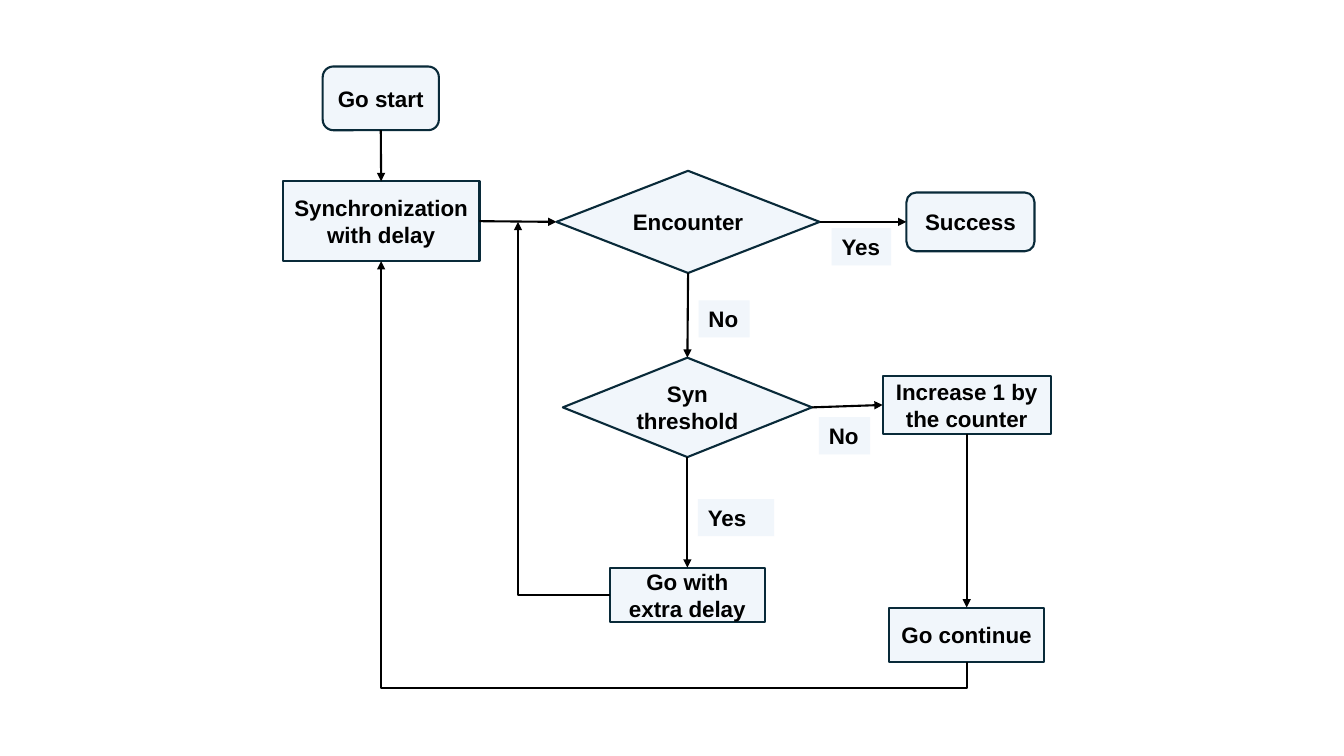
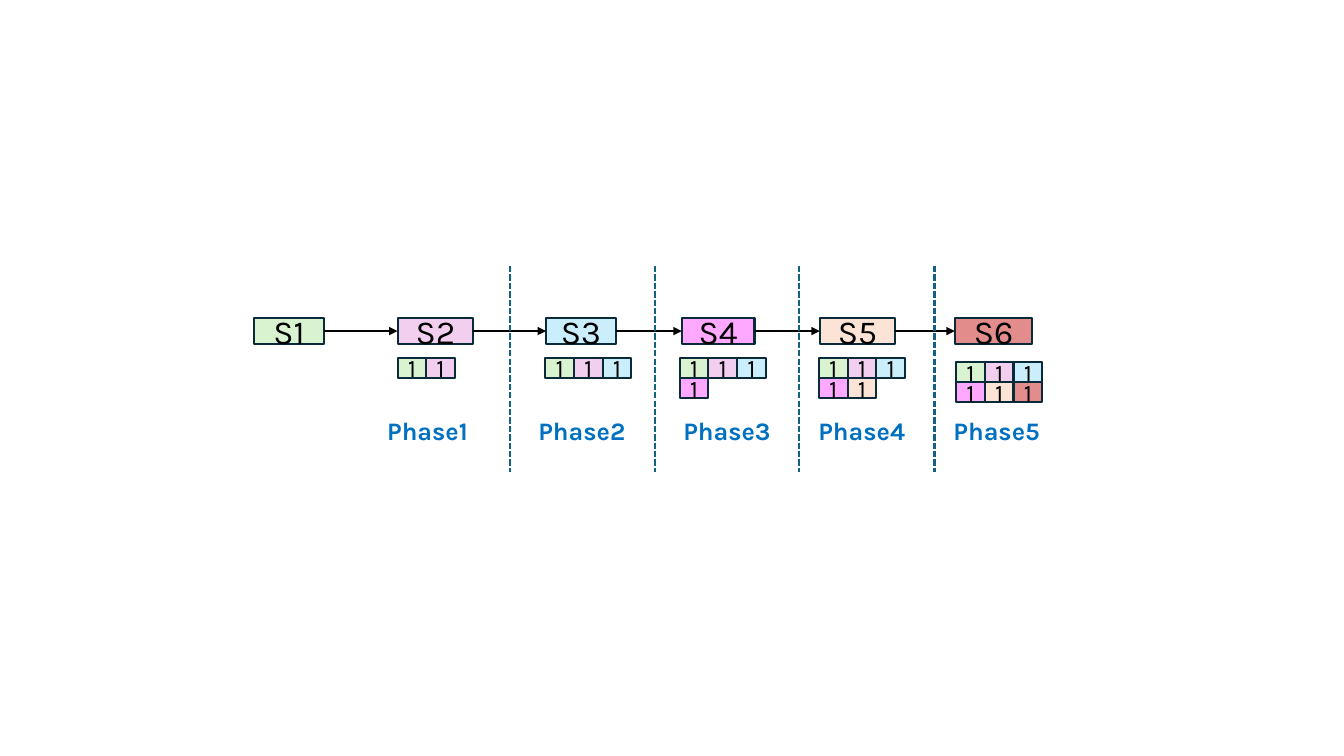
from pptx import Presentation
from pptx.dml.color import RGBColor
from pptx.enum import dml, shapes, text
from pptx.oxml.ns import qn
from pptx.util import Pt
from lxml import etree

# Shared look
COLORS = {
    "panel": "DCEAF7", "outline": "092A39", "ink": "000000",
    "phase": "0070C0", "divider": "156082",
    "green": "D9F2D0", "lilac": "F2CFEE", "sky": "CAEEFB",
    "magenta": "FF40FF", "peach": "FBE3D6", "red": "C00000",
}
OPACITY = {"panel": 40, "magenta": 45, "red": 45}
FLOW_FONT = {"name": "Arial", "size": Pt(16), "bold": True}
STATE_FONT = {"name": "Karla", "size": Pt(24)}
CELL_FONT = {"name": "Karla", "size": Pt(18)}
PHASE_FONT = {"name": "Karla", "size": Pt(18), "bold": True}
TOP, LEFT, BOTTOM, RIGHT = range(4)

# Flowchart: name -> (kind, text, left, top, width, height)
ROUND = shapes.MSO_SHAPE.FLOWCHART_ALTERNATE_PROCESS
DECISION = shapes.MSO_SHAPE.FLOWCHART_DECISION
BOX = shapes.MSO_SHAPE.RECTANGLE
STEPS = {
    "start": (ROUND, "Go start", 230.5, 47.5, 83, 45.5),
    "sync": (BOX, "Synchronization with delay", 202, 129.5, 140.5, 57),
    "encounter": (DECISION, "Encounter", 397.5, 122, 188, 73),
    "threshold": (DECISION, "Syn threshold", 402, 255.5, 178, 71),
    "success": (ROUND, "Success", 647.5, 137.5, 91.5, 42),
    "increase": (BOX, "Increase 1 by the counter", 630.5, 268.5, 120, 41.5),
    "extra": (BOX, "Go with extra delay", 435.5, 405.5, 111, 39),
    "continue": (BOX, "Go continue", 635, 434, 111, 39),
}
LABELS = [
    ("Yes", 594, 163, 42.5), ("No", 499, 214.5, 36.5),
    ("Yes", 498.5, 356.5, 54.5), ("No", 585, 298, 36.5),
]
LABEL_HEIGHT = 26.5
FLOWS = [
    ("start", BOTTOM, "sync", TOP),
    ("sync", RIGHT, "encounter", LEFT),
    ("encounter", RIGHT, "success", LEFT),
    ("encounter", BOTTOM, "threshold", TOP),
    ("threshold", RIGHT, "increase", LEFT),
    ("threshold", BOTTOM, "extra", TOP),
    ("increase", BOTTOM, "continue", TOP),
]
RETRY_POINT = (370, 158.5)
LOOP_DROP = 18.5

# Phases: state, colour, left, width
STATES = [
    ("S1", "green", 181.5, 50), ("S2", "lilac", 284, 54),
    ("S3", "sky", 390, 50), ("S4", "magenta", 487, 52),
    ("S5", "peach", 585.5, 54), ("S6", "red", 682, 55.5),
]
STATE_TOP, STATE_HEIGHT = 227, 19
# Phase name, left of its name, left and top of its cells
PHASES = [
    ("Phase1", 269.5, 284, 255.5), ("Phase2", 377.5, 389.5, 255.5),
    ("Phase3", 481, 485.5, 255.5), ("Phase4", 577.5, 585, 255.5),
    ("Phase5", 674, 683, 258.5),
]
CELL_WIDTH, CELL_HEIGHT, CELLS_PER_ROW = 20.5, 14.5, 3
PHASE_TOP, PHASE_WIDTH, PHASE_HEIGHT = 293, 89, 29
DIVIDERS = [364.5, 468, 571, 667.5]
DIVIDER_TOP, DIVIDER_BOTTOM = 190, 337


def rgb(name):
    return RGBColor.from_string(COLORS[name])


def write(shape, words, font, color="ink", align=text.PP_ALIGN.CENTER,
          anchor=text.MSO_ANCHOR.MIDDLE):
    frame = shape.text_frame
    frame.word_wrap = True
    frame.vertical_anchor = anchor
    paragraph = frame.paragraphs[0]
    paragraph.alignment = align
    run = paragraph.add_run()
    run.text = words
    for attribute, value in font.items():
        setattr(run.font, attribute, value)
    run.font.color.rgb = rgb(color)


def add_box(slide, kind, area, fill, outlined=True):
    shape = slide.shapes.add_shape(kind, *map(Pt, area))
    shape.shadow.inherit = False
    shape.fill.solid()
    shape.fill.fore_color.rgb = rgb(fill)
    if fill in OPACITY:
        color = shape.fill._xPr.find(qn("a:solidFill"))[0]
        etree.SubElement(color, qn("a:alpha"), val=str(OPACITY[fill] * 1000))
    if outlined:
        shape.line.color.rgb = rgb("outline")
        shape.line.width = Pt(1.5)
    else:
        shape.line.fill.background()
    return shape


def add_line(slide, points=(0, 0, 0, 0), color="ink", width=1.5, arrow=True,
             kind=shapes.MSO_CONNECTOR.STRAIGHT):
    line = slide.shapes.add_connector(kind, *map(Pt, points))
    line.line.color.rgb = rgb(color)
    line.line.width = Pt(width)
    if arrow:
        etree.SubElement(line.line._get_or_add_ln(), qn("a:tailEnd"), type="triangle")
    etree.SubElement(line._element.spPr, qn("a:effectLst"))
    return line


def join(slide, first, first_side, second, second_side, width=1.5):
    line = add_line(slide, width=width)
    line.begin_connect(first, first_side)
    line.end_connect(second, second_side)


def shape_elbow(line, preset, rotation, flip, area, adjust=None):
    """Give an elbow its preset, turn and unrotated frame."""
    for attribute, value in zip(("left", "top", "width", "height"), area):
        setattr(line, attribute, int(value))
    frame = line._element.spPr.find(qn("a:xfrm"))
    for attribute, value in (("rot", rotation * 60000), ("flipH", flip), ("flipV", 0)):
        frame.set(attribute, str(value))
    geometry = line._element.spPr.find(qn("a:prstGeom"))
    geometry.set("prst", preset)
    if adjust is not None:
        guides = geometry.find(qn("a:avLst"))
        if guides is None:
            guides = etree.SubElement(geometry, qn("a:avLst"))
        etree.SubElement(guides, qn("a:gd"), name="adj1", fmla=f"val {adjust}")


def build_flowchart(slide):
    boxes = {}
    for name, (kind, words, *area) in STEPS.items():
        boxes[name] = add_box(slide, kind, area, "panel")
        write(boxes[name], words, FLOW_FONT)
    for first, first_side, second, second_side in FLOWS:
        join(slide, boxes[first], first_side, boxes[second], second_side)

    # Return from "Go continue" to the synchronization, below everything
    first, second = boxes["continue"], boxes["sync"]
    loop = add_line(slide, kind=shapes.MSO_CONNECTOR.ELBOW)
    loop.begin_connect(first, BOTTOM)
    loop.end_connect(second, BOTTOM)
    right, bottom = first.left + first.width / 2, first.top + first.height
    left, top = second.left + second.width / 2, second.top + second.height
    across, down = right - left, bottom - top
    area = ((left + right - down) / 2, (top + bottom - across) / 2, down, across)
    shape_elbow(loop, "bentConnector3", 90, 1, area,
                round(-Pt(LOOP_DROP) / down * 100000))

    # Return from the extra delay to the arrow before "Encounter"
    extra = boxes["extra"]
    retry = add_line(slide, kind=shapes.MSO_CONNECTOR.ELBOW)
    retry.begin_connect(extra, LEFT)
    left, top = map(Pt, RETRY_POINT)
    area = (left, top, extra.left - left, extra.top + extra.height / 2 - top)
    shape_elbow(retry, "bentConnector2", 180, 0, area)

    for words, left, top, width in LABELS:
        label = add_box(slide, BOX, (left, top, width, LABEL_HEIGHT), "panel", False)
        label.text_frame.margin_right = 0
        write(label, words, FLOW_FONT, align=text.PP_ALIGN.LEFT,
              anchor=text.MSO_ANCHOR.TOP)


def build_phases(slide):
    # Chain of states
    chain = []
    for words, fill, left, width in STATES:
        state = add_box(slide, BOX, (left, STATE_TOP, width, STATE_HEIGHT), fill)
        write(state, words, STATE_FONT)
        chain.append(state)
    for first, second in zip(chain, chain[1:]):
        join(slide, first, RIGHT, second, LEFT, width=1)

    # Each phase holds one cell for every state reached so far
    for reached, (words, name_left, left, top) in enumerate(PHASES, start=2):
        for index, (_, fill, *_) in enumerate(STATES[:reached]):
            row, column = divmod(index, CELLS_PER_ROW)
            area = (left + column * CELL_WIDTH, top + row * CELL_HEIGHT,
                    CELL_WIDTH, CELL_HEIGHT)
            write(add_box(slide, BOX, area, fill), "1", CELL_FONT)
        name = slide.shapes.add_textbox(
            *map(Pt, (name_left, PHASE_TOP, PHASE_WIDTH, PHASE_HEIGHT)))
        write(name, words, PHASE_FONT, "phase", text.PP_ALIGN.LEFT,
              text.MSO_ANCHOR.TOP)

    for x in DIVIDERS:
        divider = add_line(slide, (x, DIVIDER_TOP, x, DIVIDER_BOTTOM), "divider",
                           arrow=False)
        divider.line.dash_style = dml.MSO_LINE.SQUARE_DOT


def main():
    presentation = Presentation()
    presentation.slide_width, presentation.slide_height = Pt(960), Pt(540)
    blank = presentation.slide_layouts[6]
    for build in (build_flowchart, build_phases):
        build(presentation.slides.add_slide(blank))
    presentation.save("out.pptx")


if __name__ == "__main__":
    main()
